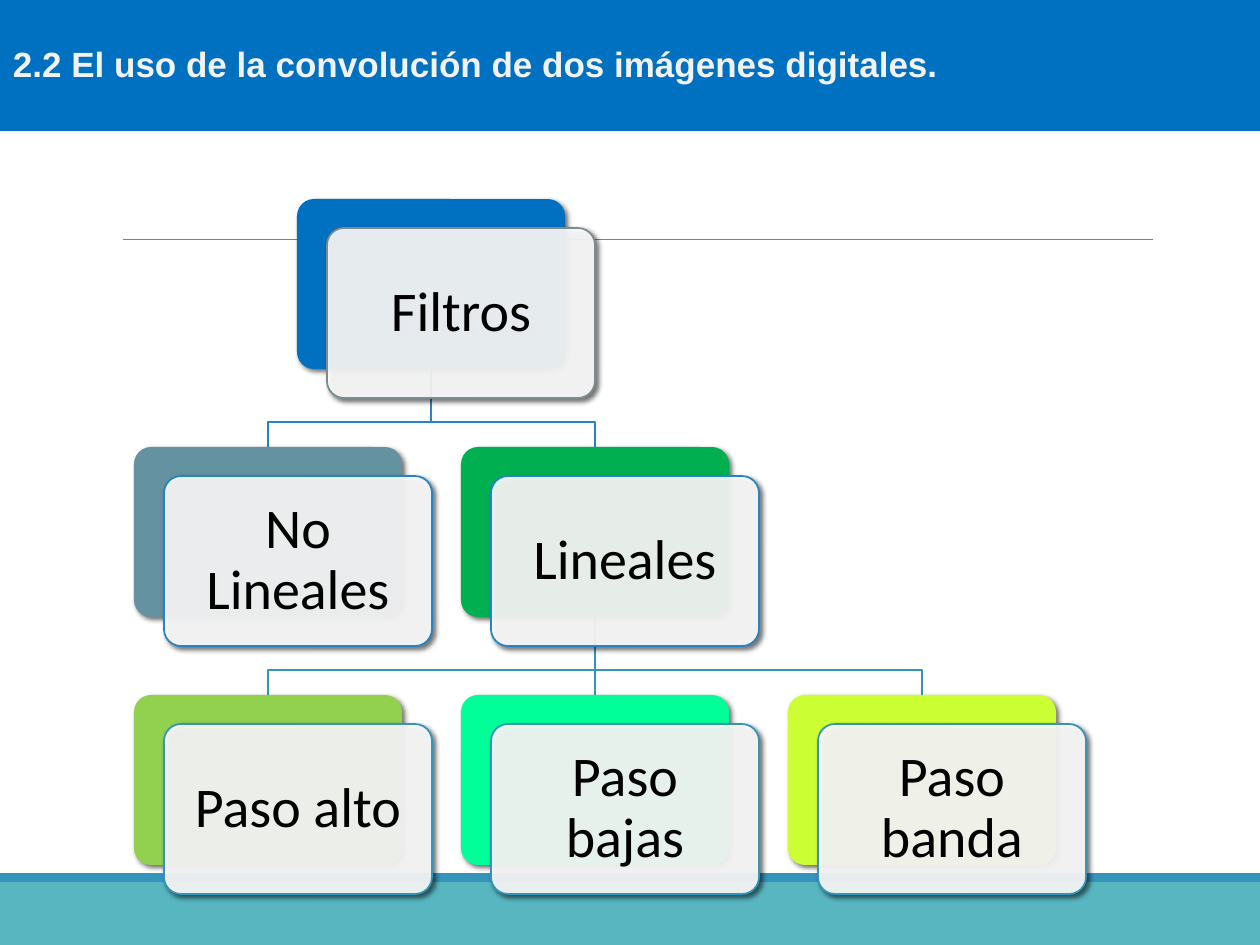
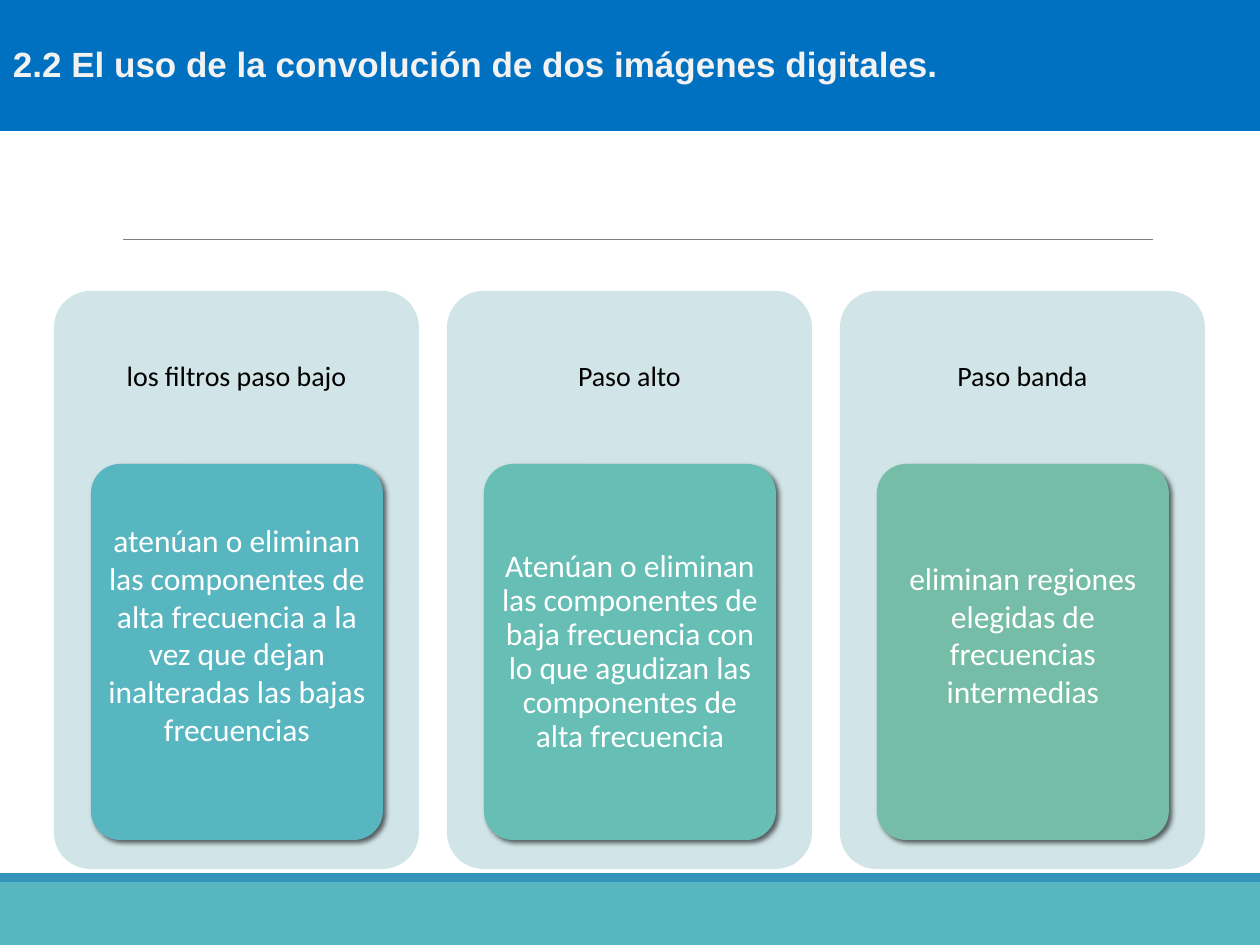
from lxml import etree
from pptx import Presentation
from pptx.dml.color import RGBColor
from pptx.enum.shapes import MSO_CONNECTOR, MSO_SHAPE
from pptx.enum.text import MSO_ANCHOR, PP_ALIGN
from pptx.oxml.ns import qn
from pptx.util import Pt

PX = 914400 / 126
SLIDE_W, SLIDE_H = 1260, 945

RECT, ROUND = MSO_SHAPE.RECTANGLE, MSO_SHAPE.ROUNDED_RECTANGLE
STRAIGHT = MSO_CONNECTOR.STRAIGHT
MIDDLE = MSO_ANCHOR.MIDDLE
LEFT, CENTER = PP_ALIGN.LEFT, PP_ALIGN.CENTER

WHITE = RGBColor(0xFF, 0xFF, 0xFF)
BLACK = RGBColor(0x00, 0x00, 0x00)
TITLE_TEXT = RGBColor(0xF2, 0xF2, 0xF2)
RULE_GREY = RGBColor(0x80, 0x80, 0x80)
BLUE = RGBColor(0x00, 0x70, 0xC0)
TEAL = RGBColor(0x58, 0xB6, 0xC0)
STRIPE = RGBColor(0x34, 0x94, 0xBA)
BRANCH = RGBColor(0x26, 0x83, 0xC6)
ROOT_EDGE = RGBColor(0x7A, 0x8C, 0x8E)
SLATE = RGBColor(0x64, 0x92, 0xA0)
GREEN = RGBColor(0x00, 0xB0, 0x50)
LIGHT_GREEN = RGBColor(0x92, 0xD0, 0x50)
MINT = RGBColor(0x00, 0xFF, 0x99)
LIME = RGBColor(0xCC, 0xFF, 0x33)
PANEL = RGBColor(0xD1, 0xE5, 0xE8)
SEA = RGBColor(0x67, 0xBE, 0xB5)
SAGE = RGBColor(0x75, 0xBD, 0xA7)

TITLE = "2.2 El uso de la convolución de dos imágenes digitales."

# name: (text, column, row, back colour, edge colour, parent)
FILTERS = {
    "root": ("Filtros", 0.5, 0, BLUE, ROOT_EDGE, None),
    "nonlinear": ("No Lineales", 0, 1, SLATE, BRANCH, "root"),
    "linear": ("Lineales", 1, 1, GREEN, BRANCH, "root"),
    "high": ("Paso alto", 0, 2, LIGHT_GREEN, STRIPE, "linear"),
    "low": ("Paso bajas", 1, 2, MINT, STRIPE, "linear"),
    "band": ("Paso banda", 2, 2, LIME, STRIPE, "linear"),
}
NODE_W, NODE_H = 268, 170
COL_STEP, ROW_STEP = 327, 248

# heading, description, card colour, line spacing, bottom inset
PANELS = [
    ("los filtros paso bajo",
     "atenúan o eliminan las componentes de alta frecuencia a la vez que "
     "dejan inalteradas las bajas frecuencias", TEAL, 1.0, 40),
    ("Paso alto",
     "Atenúan o eliminan las componentes de baja frecuencia con lo que "
     "agudizan las componentes de alta frecuencia", SEA, 0.9, 5),
    ("Paso banda",
     "eliminan regiones elegidas de frecuencias intermedias", SAGE, 1.0, 40),
]


def px(*values):
    return [round(v * PX) for v in values]


def add_box(slide, kind, box, fill, edge=None, shadow=False):
    s = slide.shapes.add_shape(kind, *px(*box))
    s.shadow.inherit = False
    s.fill.solid()
    s.fill.fore_color.rgb = fill
    if edge is None:
        s.line.fill.background()
    else:
        s.line.color.rgb = edge
        s.line.width = Pt(1)
    if kind == ROUND:
        s.adjustments[0] = 0.1
    if shadow:
        add_shadow(s)
    return s


def add_shadow(s):
    effects = s._element.spPr.find(qn("a:effectLst"))
    outer = etree.SubElement(effects, qn("a:outerShdw"), blurRad=str(Pt(3)),
                             dist=str(Pt(2)), dir="2700000", rotWithShape="0")
    color = etree.SubElement(outer, qn("a:srgbClr"), val=str(BLACK))
    etree.SubElement(color, qn("a:alpha"), val="60000")


def set_opacity(s, percent):
    color = s._element.spPr.find(qn("a:solidFill")).find(qn("a:srgbClr"))
    etree.SubElement(color, qn("a:alpha"), val=str(percent * 1000))


def write(s, text, size, color, insets, font="Calibri", bold=False,
          align=CENTER, spacing=0.9):
    """Fill a shape with one paragraph; insets run left, top, right, bottom."""
    tf = s.text_frame
    tf.word_wrap = True
    tf.vertical_anchor = MIDDLE
    (tf.margin_left, tf.margin_top,
     tf.margin_right, tf.margin_bottom) = px(*insets)
    p = tf.paragraphs[0]
    p.text = text
    p.alignment = align
    p.line_spacing = spacing
    p.font.name = font
    p.font.size = Pt(size)
    p.font.bold = bold
    p.font.color.rgb = color


def add_line(slide, start, end, color, width):
    s = slide.shapes.add_connector(STRAIGHT, *px(*start, *end))
    s.line.color.rgb = color
    s.line.width = Pt(width)
    etree.SubElement(s._element.spPr, qn("a:effectLst"))


def add_branch(slide, start, end, color):
    """Join a parent's foot to a child's head, bending between the rows."""
    if start[0] == end[0]:
        add_line(slide, start, end, color, 1.25)
        return
    bend = end[1] - 25
    builder = slide.shapes.build_freeform(*start, scale=PX)
    builder.add_line_segments([(start[0], bend), (end[0], bend), end],
                              close=False)
    s = builder.convert_to_shape()
    s.shadow.inherit = False
    s.fill.background()
    s.line.color.rgb = color
    s.line.width = Pt(1.25)


def add_base_slide(prs):
    slide = prs.slides.add_slide(prs.slide_layouts[6])
    add_box(slide, RECT, (0, 882, SLIDE_W, 63), TEAL)
    add_box(slide, RECT, (0, 873, SLIDE_W, 9), STRIPE)
    add_line(slide, (123, 239), (1153, 239), RULE_GREY, 0.5)
    band = add_box(slide, RECT, (0, -4, SLIDE_W, 135), BLUE)
    write(band, TITLE, 20, TITLE_TEXT, (13, 6, 13, 6), font="Arial",
          bold=True, align=LEFT, spacing=1.0)
    return slide


def add_node(slide, x, y, text, fill, edge):
    add_box(slide, ROUND, (x, y, NODE_W, NODE_H), fill, shadow=True)
    front = add_box(slide, ROUND, (x + 30, y + 29, NODE_W, NODE_H), WHITE,
                    edge, shadow=True)
    set_opacity(front, 90)
    write(front, text, 32, BLACK, (16, 16, 16, 16))


def add_filter_tree(slide, left, top):
    spots = {name: (left + int(col * COL_STEP), top + row * ROW_STEP)
             for name, (_, col, row, *_) in FILTERS.items()}
    for name, (*_, edge, parent) in FILTERS.items():
        if parent:
            (px0, py0), (x, y) = spots[parent], spots[name]
            add_branch(slide, (px0 + NODE_W // 2, py0 + NODE_H),
                       (x + NODE_W // 2, y), edge)
    for name, (text, _, _, fill, edge, _) in FILTERS.items():
        add_node(slide, *spots[name], text, fill, edge)


def add_panel(slide, x, y, heading, description, fill, spacing, bottom):
    add_box(slide, ROUND, (x, y, 365, 578), PANEL)
    head = slide.shapes.add_textbox(*px(x, y, 365, 173))
    write(head, heading, 16, BLACK, (9, 9, 9, 9))
    card = add_box(slide, ROUND, (x + 37, y + 173, 292, 376), fill,
                   shadow=True)
    write(card, description, 18, WHITE, (6, 5, 6, bottom), spacing=spacing)


def main():
    prs = Presentation()
    prs.slide_width, prs.slide_height = px(SLIDE_W, SLIDE_H)
    add_filter_tree(add_base_slide(prs), 134, 199)
    slide = add_base_slide(prs)
    for i, panel in enumerate(PANELS):
        add_panel(slide, 54 + i * 393, 291, *panel)
    prs.save("out.pptx")


if __name__ == "__main__":
    main()
